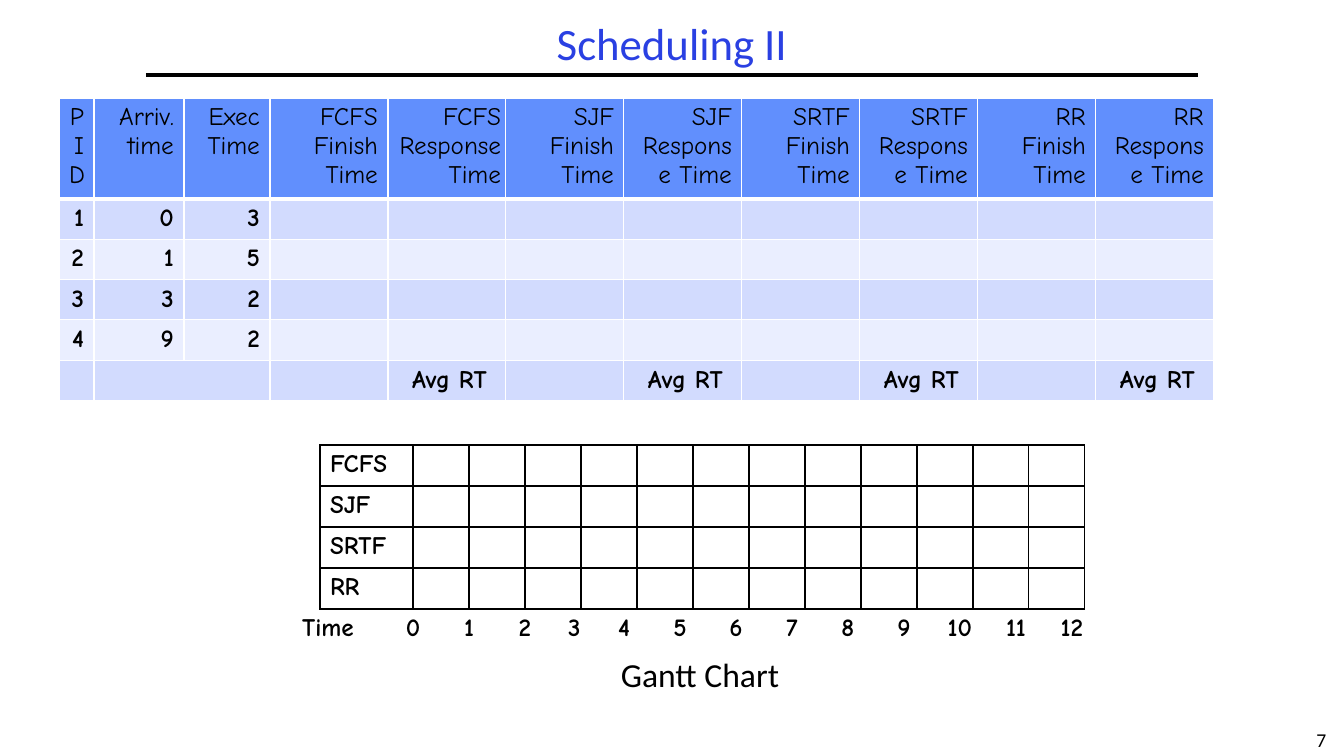
from lxml import etree
from pptx import Presentation
from pptx.dml.color import RGBColor
from pptx.enum.shapes import MSO_CONNECTOR
from pptx.enum.text import MSO_ANCHOR, PP_ALIGN
from pptx.oxml.ns import qn
from pptx.util import Emu, Pt

LEFT, CENTER, RIGHT = PP_ALIGN.LEFT, PP_ALIGN.CENTER, PP_ALIGN.RIGHT
TOP, MIDDLE = MSO_ANCHOR.TOP, MSO_ANCHOR.MIDDLE
STRAIGHT = MSO_CONNECTOR.STRAIGHT
PLAIN_STYLE = "{2D5ABB26-0587-4C30-8999-92F81FD0307C}"
HEAD_FONT, TABLE_FONT = "Calibri", "Comic Neue"
BLACK, WHITE, BLUE = "000000", "FFFFFF", "2A40E2"
HEADER_FILL, BANDS = "618FFD", ("D2DBFE", "EAEEFF")

HEADERS = ["PID", "Arriv. time", "Exec Time",
           "FCFS\nFinish Time", "FCFS\nResponse Time",
           "SJF Finish Time", "SJF Response Time",
           "SRTF Finish Time", "SRTF Response Time",
           "RR\nFinish Time", "RR\nResponse Time"]
PROCESSES = [(1, 0, 3), (2, 1, 5), (3, 3, 2), (4, 9, 2)]
ALGORITHMS = ["FCFS", "SJF", "SRTF", "RR"]
TICKS = range(13)

SLOTS = len(TICKS) - 1
RESULTS = len(HEADERS) - 3
process_rows = [HEADERS]
process_rows += [[str(value) for value in process] + [""] * RESULTS for process in PROCESSES]
process_rows.append([""] * 3 + ["", "Avg RT "] * (RESULTS // 2))
process_widths = [35, 90, 86] + [118] * RESULTS
process_heights = [97] + [39] * (len(process_rows) - 1)
gantt_rows = [[name] + [""] * SLOTS for name in ALGORITHMS]
gantt_widths = [93] + [56] * SLOTS
time_row = ["Time"] + [str(tick) for tick in TICKS]
time_widths = [93] + [43 if tick == 3 else 56 for tick in TICKS]


def px(length):
    return Emu(round(length * 914400 / 100.8))


def color(value):
    return RGBColor.from_string(value)


def add_text(para, text, font, size, tint, bold=False):
    span = para.add_run()
    span.text = text
    span.font.name = font
    span.font.size = Pt(size)
    span.font.bold = bold
    span.font.color.rgb = color(tint)


def add_label(page, frame, text, size, tint, align, anchor=TOP, spacing=1.0, wrap=True):
    box = page.shapes.add_textbox(*map(px, frame))
    box.text_frame.word_wrap = wrap
    box.text_frame.vertical_anchor = anchor
    para = box.text_frame.paragraphs[0]
    para.alignment = align
    para.line_spacing = spacing
    add_text(para, text, HEAD_FONT, size, tint)


def set_border(cell, side, tint, width):
    line = etree.SubElement(cell._tc.get_or_add_tcPr(), qn("a:ln" + side), w=str(Pt(width)))
    solid = etree.SubElement(line, qn("a:solidFill"))
    etree.SubElement(solid, qn("a:srgbClr"), val=tint)


def fill_cell(cell, text, align, bold, fill, border, bottom):
    if border:
        for side in "LRTB":
            set_border(cell, side, border, bottom if side == "B" else 1)
    if fill:
        cell.fill.solid()
        cell.fill.fore_color.rgb = color(fill)
    else:
        cell.fill.background()
    frame = cell.text_frame
    for index, line in enumerate(text.split("\n")):
        para = frame.paragraphs[0] if index == 0 else frame.add_paragraph()
        para.alignment = align
        if line:
            add_text(para, line, TABLE_FONT, 18, BLACK, bold)
        else:
            end = etree.SubElement(para._p, qn("a:endParaRPr"), sz="1800")
            etree.SubElement(end, qn("a:latin"), typeface=TABLE_FONT)


def add_grid(page, left, top, widths, heights, rows, align, border=None, banded=False):
    shape = page.shapes.add_table(len(rows), len(widths), px(left), px(top),
                                  px(sum(widths)), px(sum(heights)))
    table = shape.table
    table.first_row = table.horz_banding = False
    table._tbl.tblPr.find(qn("a:tableStyleId")).text = PLAIN_STYLE
    for column, width in zip(table.columns, widths):
        column.width = px(width)
    for r, (values, height) in enumerate(zip(rows, heights)):
        table.rows[r].height = px(height)
        header = banded and r == 0
        fill = None
        if banded:
            fill = HEADER_FILL if header else BANDS[(r - 1) % 2]
        for c, text in enumerate(values):
            cell_align = LEFT if text == "Time" else align
            fill_cell(table.cell(r, c), text, cell_align, not header, fill,
                      border, 3 if header else 1)
    return table


def main():
    deck = Presentation()
    deck.slide_width, deck.slide_height = px(1344), px(756)
    page = deck.slides.add_slide(deck.slide_layouts[6])

    add_label(page, (1300, 723, 43, 33), "7", 14, BLACK, CENTER, wrap=False)
    rule = page.shapes.add_connector(STRAIGHT, px(146), px(75), px(1198), px(75))
    rule.line.color.rgb = color(BLACK)
    rule.line.width = Pt(3)
    etree.SubElement(rule._element.spPr, qn("a:effectLst"))
    add_label(page, (146, 17, 1052, 58), "Scheduling II", 32, BLUE, CENTER, MIDDLE, 0.9)

    processes = add_grid(page, 59, 98, process_widths, process_heights, process_rows,
                         RIGHT, WHITE, banded=True)
    last = len(process_rows) - 1
    processes.cell(last, 1).merge(processes.cell(last, 2))
    response = processes.cell(0, 4)
    response.margin_left = response.margin_right = px(5)

    add_grid(page, 320, 445, gantt_widths, [41] * len(gantt_rows), gantt_rows, LEFT, BLACK)
    add_grid(page, 292, 609, time_widths, [41], [time_row], CENTER)
    add_label(page, (611, 657, 184, 43), "Gantt Chart", 24, BLACK, LEFT, spacing=0.8)

    deck.save("out.pptx")


if __name__ == "__main__":
    main()
